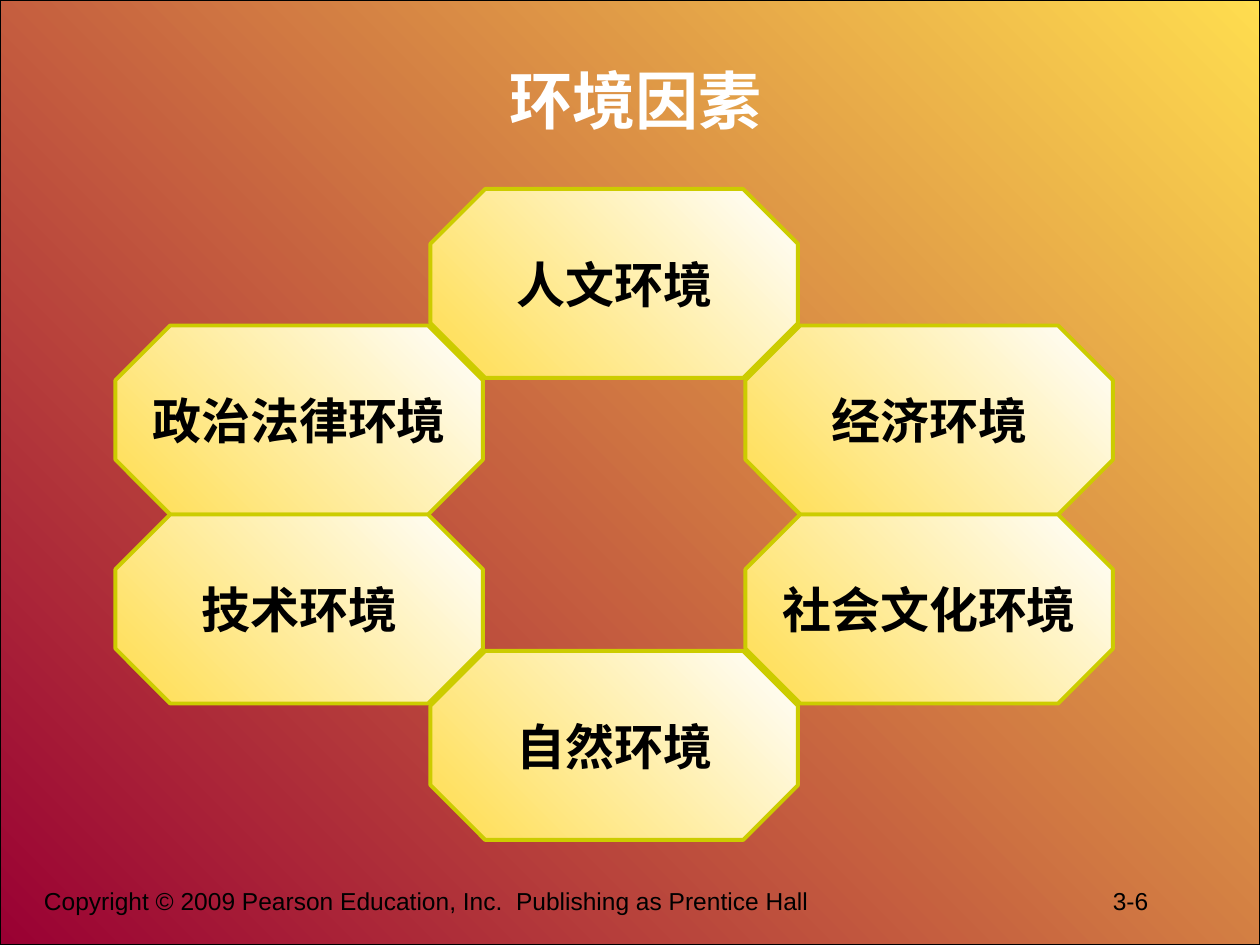
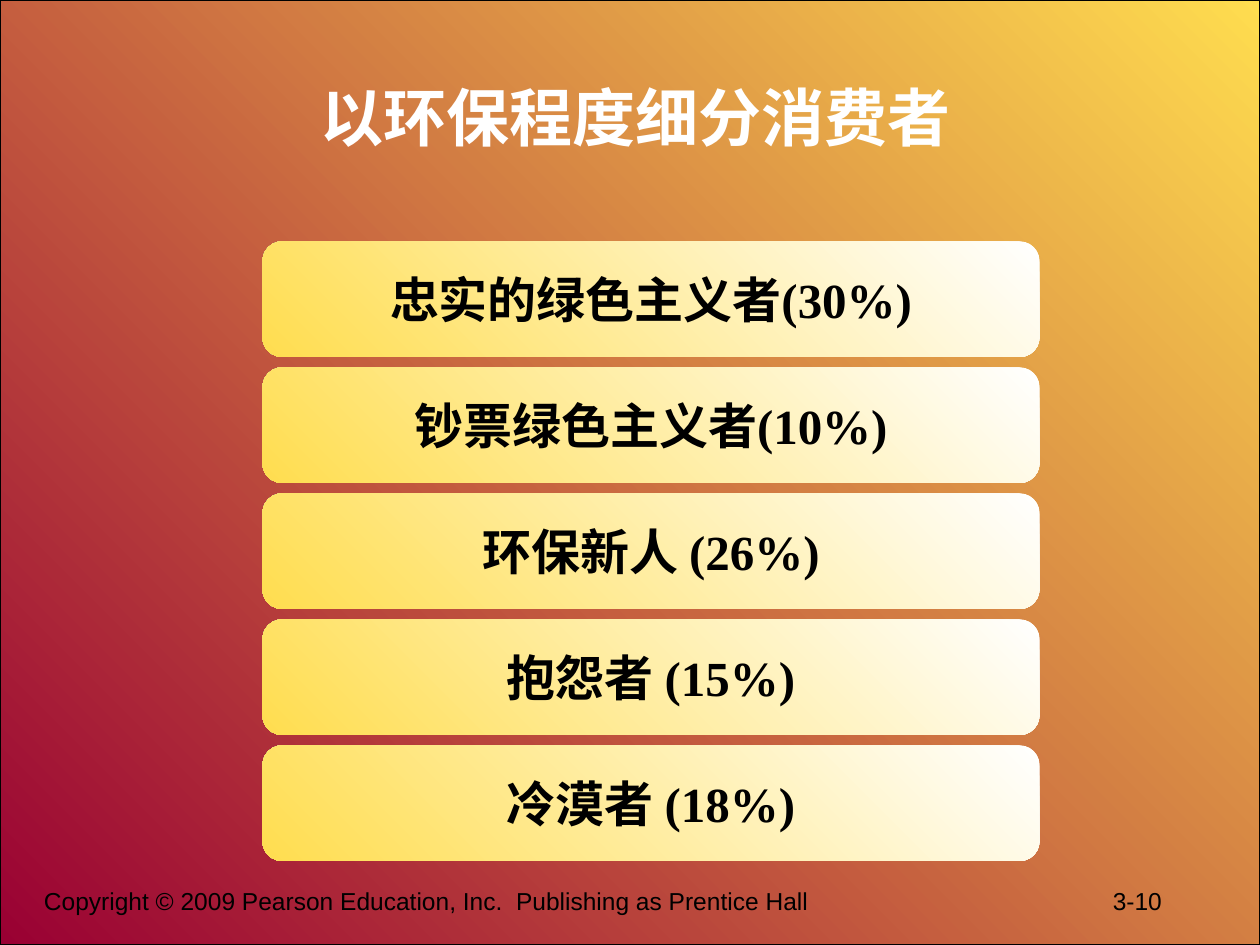
from dataclasses import dataclass

from lxml.etree import SubElement
from pptx import Presentation
from pptx.dml.color import RGBColor as RGB
from pptx.enum.shapes import MSO_SHAPE as SHAPE
from pptx.enum.text import MSO_ANCHOR as ANCHOR, PP_ALIGN as ALIGN
from pptx.oxml.ns import qn
from pptx.util import Pt

PX = 7620


@dataclass(frozen=True)
class Theme:
    """Colours, fonts and type sizes shared by the slides."""
    yellow: str = "FFDD4F"
    wine: str = "990033"
    olive: str = "CCCC00"
    white: str = "FFFFFF"
    black: str = "000000"
    sans: str = "Arial"
    serif: str = "Times New Roman"
    cjk: str = "Noto Sans CJK SC"
    title: int = 36
    label: int = 28
    footer: int = 14


def write(tf, text, *, size, color, font, cjk, bold=False,
          align=ALIGN.CENTER, anchor=ANCHOR.MIDDLE, wrap=True, tab=None):
    """Put one formatted paragraph into a text frame."""
    tf.word_wrap, tf.vertical_anchor = wrap, anchor
    p = tf.paragraphs[0]
    p.alignment = align
    if tab:
        tabs = SubElement(p._p.get_or_add_pPr(), qn("a:tabLst"))
        SubElement(tabs, qn("a:tab"), pos=str(tab * PX), algn="l")
    r = p.add_run()
    r.text = text
    r.font.size, r.font.bold, r.font.name = Pt(size), bold, font
    r.font.color.rgb = RGB.from_string(color)
    SubElement(r._r.get_or_add_rPr(), qn("a:ea"), typeface=cjk)


class Deck:
    """Holds the theme and the current slide, and draws on it."""

    def __init__(self, theme):
        """Start a presentation whose layout carries the backdrop."""
        self.theme = theme
        self.prs = Presentation()
        self.prs.slide_width, self.prs.slide_height = 1200 * PX, 900 * PX
        self.layout = self.prs.slide_layouts[5]
        self.s = None

    def slide(self, title, top, number):
        """Add a slide with its title and footer."""
        t = self.theme
        first = self.s is None
        self.s = self.prs.slides.add_slide(self.layout)
        if first:
            self.backdrop()
        sp = self.s.shapes.title
        sp.left, sp.top, sp.width, sp.height = (
            v * PX for v in (100, top, 1010, 150))
        write(sp.text_frame, title, size=t.title, color=t.white,
              font=t.cjk, cjk=t.cjk, bold=True)
        self.footer(number)

    def backdrop(self):
        """Move one full-size gradient panel behind the layout."""
        t = self.theme
        sp = self.shape(SHAPE.RECTANGLE, (0, 0, 1200, 900),
                        (t.yellow, t.wine), line=t.black, weight=0.75)
        tree = self.layout.placeholders[0].element.getparent()
        tree.insert(2, sp.element)

    def footer(self, number):
        """Write the copyright line and the page number."""
        t = self.theme
        box = self.s.shapes.add_textbox(
            *(v * PX for v in (30, 838, 1120, 62)))
        write(box.text_frame,
              "Copyright © 2009 Pearson Education, Inc. \u00a0"
              f"Publishing as Prentice Hall\t{number}",
              size=t.footer, color=t.black, font=t.sans, cjk=t.cjk,
              align=ALIGN.LEFT, anchor=ANCHOR.TOP, tab=1018)

    def shape(self, kind, box, colors, line=None, weight=2.25):
        """Add a preset shape with a gradient from top right to bottom left."""
        sp = self.s.shapes.add_shape(kind, *(v * PX for v in box))
        sp.shadow.inherit = False
        sp.fill.gradient()
        sp.fill.gradient_angle = 225
        for stop, color in zip(sp.fill.gradient_stops, colors):
            stop.color.rgb = RGB.from_string(color)
        if line:
            sp.line.color.rgb = RGB.from_string(line)
            sp.line.width = Pt(weight)
        else:
            sp.line.fill.background()
        return sp

    def card(self, kind, box, text, font, corner, line=None):
        """Add a pale yellow shape with a bold centred label."""
        t = self.theme
        sp = self.shape(kind, box, (t.white, t.yellow), line)
        sp.adjustments[0] = corner
        write(sp.text_frame, text, size=t.label, color=t.black, font=font,
              cjk=t.cjk, bold=True, wrap=False)


def environment_slide(deck):
    """Draw the ring of six environmental factors."""
    t = deck.theme
    deck.slide("环境因素", 20, "3-6")
    left, center, right = (110 + 300 * i for i in range(3))
    factors = [("人文环境", center, 180), ("经济环境", right, 310),
               ("政治法律环境", left, 310), ("社会文化环境", right, 490),
               ("技术环境", left, 490), ("自然环境", center, 620)]
    for text, x, y in factors:
        deck.card(SHAPE.OCTAGON, (x, y, 350, 180), text, t.sans, 0.29,
                  line=t.olive)


def consumer_slide(deck):
    """Stack the five consumer segments."""
    deck.slide("以环保程度细分消费者", 36, "3-10")
    segments = ["忠实的绿色主义者(30%)", "钞票绿色主义者(10%)",
                "环保新人 (26%)", "抱怨者 (15%)", "冷漠者 (18%)"]
    for i, text in enumerate(segments):
        deck.card(SHAPE.ROUNDED_RECTANGLE, (250, 230 + 120 * i, 740, 110),
                  text, deck.theme.serif, 0.17)


def main():
    """Build and save the deck."""
    deck = Deck(Theme())
    environment_slide(deck)
    consumer_slide(deck)
    deck.prs.save("out.pptx")


if __name__ == "__main__":
    main()
